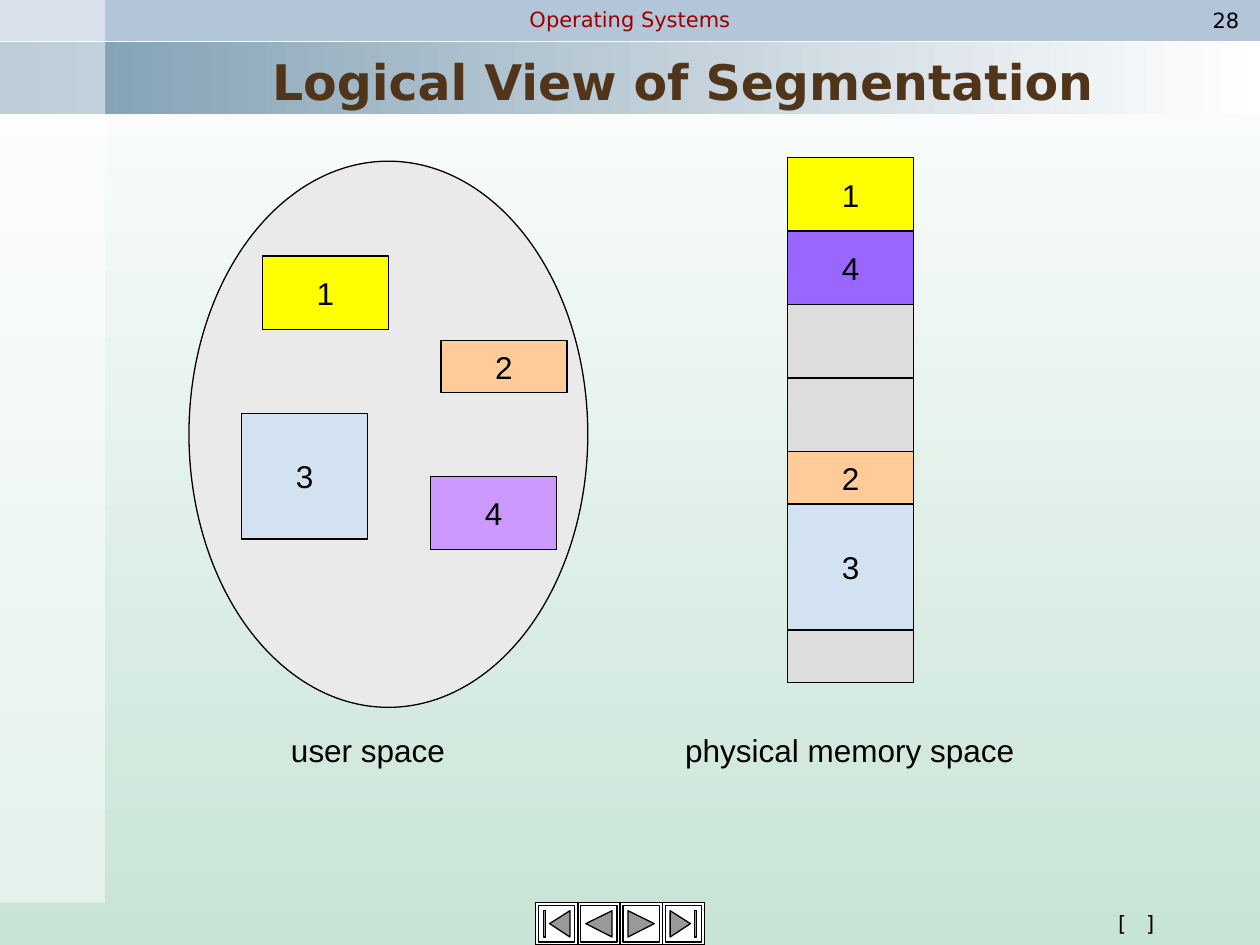
from lxml.etree import SubElement
from pptx import Presentation
from pptx.dml.color import RGBColor
from pptx.enum.shapes import MSO_CONNECTOR, MSO_SHAPE
from pptx.enum.text import MSO_ANCHOR, PP_ALIGN
from pptx.oxml.ns import qn
from pptx.util import Cm, Pt

COLORS = {
    "black": "000000", "white": "FFFFFF", "mint": "C8E4D7",
    "header": "B3C5D9", "band": "7C9BB0", "course": "990000", "title": "50351A",
    "space": "EAEAEA", "free": "DDDDDD", "yellow": "FFFF00", "blue": "D3E2F1",
    "orange": "FFCC99", "lilac": "CC99FF", "violet": "9966FF", "icon": "999999",
}
RGB = {name: RGBColor.from_string(value) for name, value in COLORS.items()}

prs = Presentation()
prs.slide_width, prs.slide_height = Cm(25.4), Cm(19.05)
slide = prs.slides.add_slide(prs.slide_layouts[6])
shapes = slide.shapes


def block(left, top, width, height, fill, line="black", kind=MSO_SHAPE.RECTANGLE):
    shape = shapes.add_shape(kind, Cm(left), Cm(top), Cm(width), Cm(height))
    shape.shadow.inherit = False
    shape.fill.solid()
    shape.fill.fore_color.rgb = RGB[fill]
    if line:
        shape.line.color.rgb = RGB[line]
        shape.line.width = Pt(0.75)
    else:
        shape.line.fill.background()
    return shape


def write(shape, text, size=18, font="Arial", color="black", bold=False,
          anchor=MSO_ANCHOR.MIDDLE, wrap=False):
    frame = shape.text_frame
    frame.word_wrap = wrap
    frame.vertical_anchor = anchor
    paragraph = frame.paragraphs[0]
    paragraph.alignment = PP_ALIGN.CENTER
    run = paragraph.add_run()
    run.text = text
    run.font.size = Pt(size)
    run.font.name = font
    run.font.bold = bold
    run.font.color.rgb = RGB[color]
    return run


# Background and header bar
background = slide.background.fill
background.gradient()
background.gradient_angle = 270
background.gradient_stops[0].color.rgb = RGB["white"]
background.gradient_stops[1].color.rgb = RGB["mint"]
block(0, 0, 25.4, 0.82, "header", "header")

# Navigation buttons: icon contours in hundredths of a centimetre
BUTTON, BEVEL, BUTTON_TOP = 0.85, 0.06, 18.2
step_icon = [[(16, 42), (69, 16), (69, 69)]]
jump_icon = [[(28, 42), (69, 16), (69, 69)],
             [(16, 16), (20, 16), (20, 69), (16, 69)]]
buttons = [(jump_icon, False), (step_icon, False), (step_icon, True), (jump_icon, True)]
for index, (contours, mirrored) in enumerate(buttons):
    button_left = 10.8 + index * BUTTON
    block(button_left, BUTTON_TOP, BUTTON, BUTTON, "white")
    block(button_left + BEVEL, BUTTON_TOP + BEVEL,
          BUTTON - 2 * BEVEL, BUTTON - 2 * BEVEL, "white")
    outline = shapes.build_freeform(scale=Cm(0.01))
    for contour in contours:
        points = [(85 - x if mirrored else x, y) for x, y in contour]
        outline.move_to(*points[0])
        outline.add_line_segments(points[1:], close=True)
    icon = outline.convert_to_shape(Cm(button_left), Cm(BUTTON_TOP))
    icon.shadow.inherit = False
    icon.fill.solid()
    icon.fill.fore_color.rgb = RGB["icon"]
    icon.line.color.rgb = RGB["black"]
    icon.line.width = Pt(0.75)

# Title band
band = block(0, 0.84, 25.4, 1.47, "band", None)
band.fill.gradient()
band.fill.gradient_angle = 0
band.fill.gradient_stops[0].color.rgb = RGB["band"]
band.fill.gradient_stops[1].color.rgb = RGB["white"]

# Header and footer text
course = shapes.add_textbox(Cm(8.89), Cm(0), Cm(7.62), Cm(0.76))
write(course, "Operating Systems", size=12, font="DejaVu Sans", color="course")
page = shapes.add_textbox(Cm(24.08), Cm(0), Cm(1.27), Cm(0.82))
write(page, "28", size=12, font="DejaVu Sans")
brackets = shapes.add_textbox(Cm(20.39), Cm(18.2), Cm(5.03), Cm(0.82))
bracket_run = write(brackets, "[ ]", size=12, font="DejaVu Sans")
bracket_run.font._element.set("spc", "380")

# Translucent left rail
rail = block(0, 0, 2.12, 18.2, "white", None)
rail_color = rail.fill._xPr.find(qn("a:solidFill")).find(qn("a:srgbClr"))
SubElement(rail_color, qn("a:alpha"), val="50000")

# Title
title = shapes.add_textbox(Cm(2.12), Cm(0.89), Cm(23.28), Cm(1.45))
write(title, "Logical View of Segmentation", size=28, font="DejaVu Sans",
      color="title", bold=True, anchor=MSO_ANCHOR.BOTTOM, wrap=True)

# User space with its segments
SEGMENT_WIDTH = 2.54
block(3.81, 3.25, 8.04, 11.01, "space", kind=MSO_SHAPE.OVAL)
for label, left, top, height, color in [
    ("1", 5.29, 5.16, 1.48, "yellow"),
    ("3", 4.87, 8.33, 2.54, "blue"),
    ("2", 8.89, 6.86, 1.06, "orange"),
    ("4", 8.68, 9.6, 1.48, "lilac"),
]:
    write(block(left, top, SEGMENT_WIDTH, height, color), label)

# Physical memory, stacked from the top down
memory_top = 3.18
for label, height, color in [
    ("1", 1.48, "yellow"),
    ("4", 1.48, "violet"),
    (None, 2.96, "free"),
    ("2", 1.06, "orange"),
    ("3", 2.54, "blue"),
    (None, 1.06, "free"),
]:
    segment = block(15.88, memory_top, SEGMENT_WIDTH, height, color)
    memory_top += height
    if label:
        write(segment, label)
    elif height > SEGMENT_WIDTH:
        double_gap = segment

# Line halving the larger free area
divider = shapes.add_connector(MSO_CONNECTOR.STRAIGHT, 0, 0, 0, 0)
divider.begin_connect(double_gap, 1)
divider.end_connect(double_gap, 3)
divider.line.color.rgb = RGB["black"]
divider.line.width = Pt(0.75)
SubElement(divider._element.spPr, qn("a:effectLst"))

# Captions
for caption, left, width in [("user space", 5.53, 3.78),
                             ("physical memory space", 13.56, 7.14)]:
    write(shapes.add_textbox(Cm(left), Cm(14.61), Cm(width), Cm(1.02)), caption)

prs.save("out.pptx")
